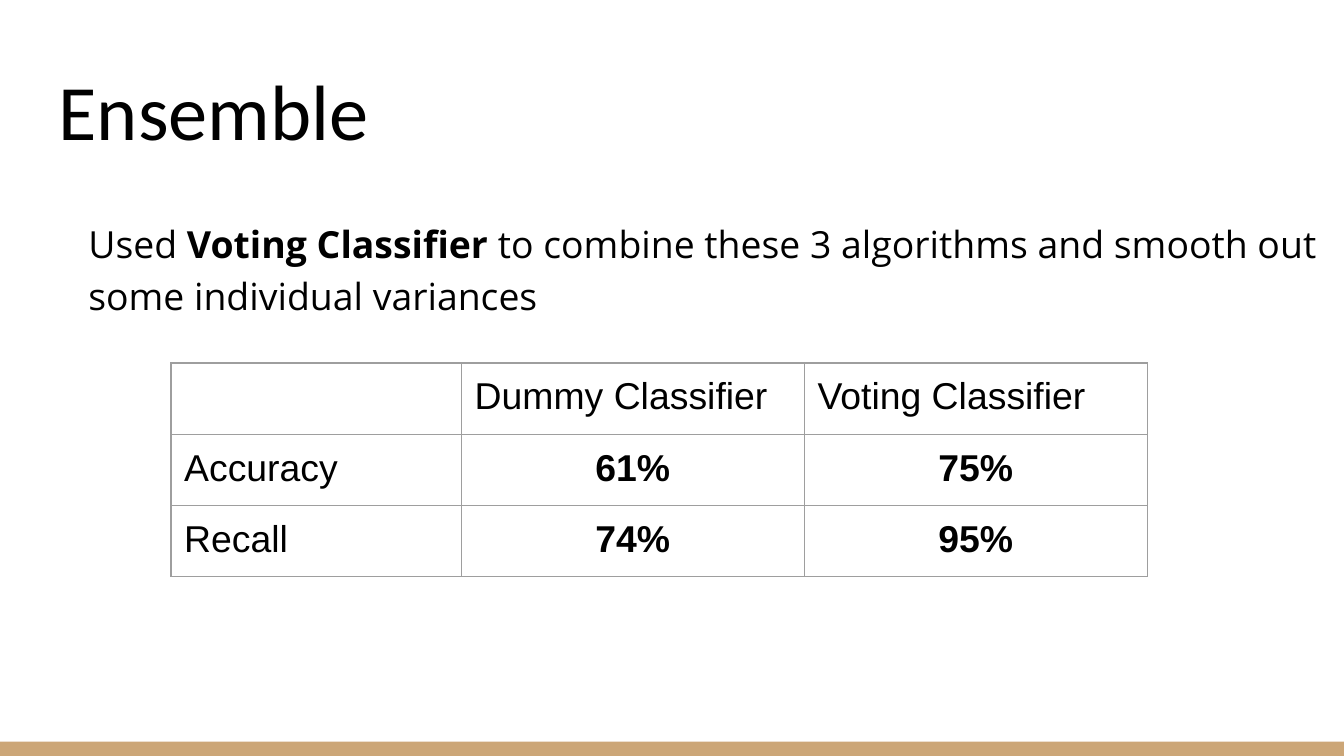
from lxml import etree
from pptx import Presentation
from pptx.dml.color import RGBColor
from pptx.enum.shapes import MSO_SHAPE
from pptx.enum.text import MSO_ANCHOR, PP_ALIGN
from pptx.oxml.ns import qn
from pptx.util import Cm, Pt

RECT = MSO_SHAPE.RECTANGLE
TOP, BOTTOM = MSO_ANCHOR.TOP, MSO_ANCHOR.BOTTOM
LEFT, CENTER = PP_ALIGN.LEFT, PP_ALIGN.CENTER

BLACK = RGBColor(0x00, 0x00, 0x00)
TAN = RGBColor(0xCC, 0xA6, 0x77)
GRAY = RGBColor(0x9E, 0x9E, 0x9E)

INSET = Cm(0.25)
MARGINS = {f"margin_{side}": INSET for side in ("left", "right", "top", "bottom")}

TITLE_FONT = {"name": "Calibri", "size": Pt(42)}
BODY_FONT = {"name": "Open Sans", "size": Pt(20)}
TABLE_FONT = {"name": "Arial", "size": Pt(20)}

BODY_RUNS = [
    ("Used ", False),
    ("Voting Classifier", True),
    (" to combine these 3 algorithms and smooth out some individual variances", False),
]
RESULTS = [
    ["", "Dummy Classifier", "Voting Classifier"],
    ["Accuracy", "61%", "75%"],
    ["Recall", "74%", "95%"],
]
COL_WIDTHS = [Cm(5.49), Cm(6.48), Cm(6.48)]
ROW_HEIGHT = Cm(1.29)


def set_attrs(obj, values):
    for name, value in values.items():
        setattr(obj, name, value)


def set_font(font, values):
    set_attrs(font, values)
    font.color.rgb = BLACK


def add_bar(s, left, top, width, height):
    sp = s.shapes.add_shape(RECT, left, top, width, height)
    sp.shadow.inherit = False
    sp.fill.solid()
    sp.fill.fore_color.rgb = TAN
    sp.line.fill.background()


def add_text(s, box, runs, font, anchor=TOP, spacing=None):
    tf = s.shapes.add_textbox(*box).text_frame
    set_attrs(tf, {**MARGINS, "word_wrap": True, "vertical_anchor": anchor})
    p = tf.paragraphs[0]
    set_attrs(p, spacing or {})
    for text, bold in runs:
        r = p.add_run()
        r.text = text
        set_font(r.font, {**font, "bold": bold})


def set_borders(cell):
    tc_pr = cell._tc.get_or_add_tcPr()
    for index, edge in enumerate(("a:lnL", "a:lnR", "a:lnT", "a:lnB")):
        ln = etree.Element(qn(edge), w=str(Pt(0.75)))
        fill = etree.SubElement(ln, qn("a:solidFill"))
        etree.SubElement(fill, qn("a:srgbClr"), val=str(GRAY))
        tc_pr.insert(index, ln)


def add_results_table(s, left, top):
    height = ROW_HEIGHT * len(RESULTS)
    frame = s.shapes.add_table(len(RESULTS), len(COL_WIDTHS), left, top,
                               sum(COL_WIDTHS), height)
    table = frame.table
    set_attrs(table, {"first_row": False, "horz_banding": False})
    for column, width in zip(table.columns, COL_WIDTHS):
        column.width = width
    for i, values in enumerate(RESULTS):
        table.rows[i].height = ROW_HEIGHT
        for j, value in enumerate(values):
            is_score = i > 0 and j > 0
            cell = table.cell(i, j)
            set_attrs(cell, MARGINS)
            cell.fill.background()
            set_borders(cell)
            p = cell.text_frame.paragraphs[0]
            p.alignment = CENTER if is_score else LEFT
            if value:
                r = p.add_run()
                r.text = value
                set_font(r.font, {**TABLE_FONT, "bold": is_score})


def main():
    prs = Presentation()
    set_attrs(prs, {"slide_width": Cm(25.4), "slide_height": Cm(14.29)})
    s = prs.slides.add_slide(prs.slide_layouts[6])

    # Bottom bar
    add_bar(s, Cm(0), Cm(14.02), prs.slide_width, Cm(0.27))

    # Title and statement
    add_text(s, (Cm(0.86), Cm(0.89), Cm(23.67), Cm(2.31)),
             [("Ensemble", False)], TITLE_FONT, BOTTOM)
    add_text(s, (Cm(1.42), Cm(3.81), Cm(23.98), Cm(9.32)), BODY_RUNS, BODY_FONT,
             spacing={"line_spacing": 1.15, "space_after": Pt(16)})

    # Classifier scores
    add_results_table(s, Cm(3.23), Cm(6.86))

    prs.save("out.pptx")


if __name__ == "__main__":
    main()
